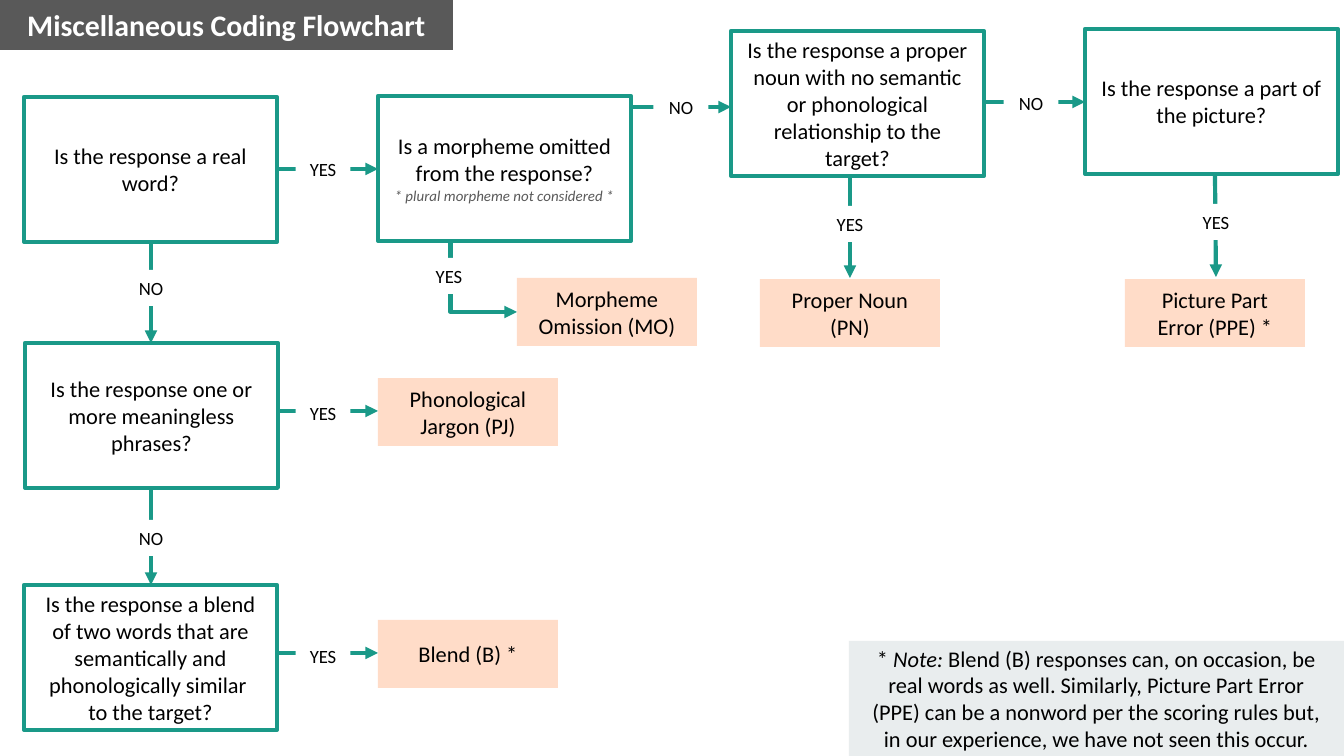
from lxml import etree
from pptx import Presentation
from pptx import util as u
from pptx.dml.color import RGBColor
from pptx.enum import shapes, text
from pptx.oxml.ns import qn

SCALE = 914400 / 134.4  # EMU per px
COLORS = {
    "teal": "1A9988", "peach": "FFDCC8", "mist": "E9EDEE",
    "gray": "595959", "white": "FFFFFF", "black": "000000",
}
QUESTION_SIZE = (253, 145)
OUTCOME_SIZE = (180, 68)
ANSWER_SIZE = (55, 36)

QUESTIONS = [
    (24, 97, "Is the response a real word?"),
    (25, 343, "Is the response one or more meaningless phrases?"),
    (24, 585, "Is the response a blend of two words that are semantically "
              "and phonologically similar \vto the target?"),
    (378, 96, "Is a morpheme omitted from the response?"
              "\n* plural morpheme not considered *"),
    (731, 31, "Is the response a proper noun with no semantic or "
              "phonological relationship to the target?"),
    (1085, 29, "Is the response a part of the picture?"),
]
OUTCOMES = [
    (517, 278, "Morpheme Omission (MO)"),
    (378, 378, "Phonological Jargon (PJ)"),
    (378, 620, "Blend (B) *"),
    (760, 279, "Proper Noun (PN)"),
    (1125, 279, "Picture Part Error (PPE) *"),
]
# start, end, answer, centre of the answer
BRANCHES = [
    ((277, 169), (378, 169), "YES", (323, 169)),
    ((277, 411), (378, 411), "YES", (323, 413)),
    ((277, 653), (378, 653), "YES", (323, 656)),
    ((151, 242), (151, 343), "NO", (151, 288)),
    ((151, 488), (151, 585), "NO", (151, 538)),
    ((631, 107), (731, 107), "NO", (681, 107)),
    ((984, 102), (1085, 102), "NO", (1031, 103)),
    ((850, 177), (850, 278), "YES", (850, 224)),
    ((1215, 176), (1216, 277), "YES", (1216, 222)),
    ((384, 241), (517, 312), "YES", (449, 276)),
]


def px(value):
    return u.Emu(round(value * SCALE))


def rgb(name):
    return RGBColor.from_string(COLORS[name])


class Flowchart:
    font = "Calibri"
    line_width = u.Pt(2.25)

    def __init__(self, page):
        self.page = page

    def style(self, span, size, color="black", bold=False, italic=False):
        span.font.name = self.font
        span.font.size = u.Pt(size)
        span.font.color.rgb = rgb(color)
        span.font.bold = bold
        span.font.italic = italic

    def box(self, place, size, words, points=12, fill=None, color="black", bold=False):
        """Add a borderless rectangle with centred text."""
        box = self.page.shapes.add_shape(
            shapes.MSO_SHAPE.RECTANGLE, *map(px, place + size))
        box.shadow.inherit = False
        box.line.fill.background()
        if fill:
            box.fill.solid()
            box.fill.fore_color.rgb = rgb(fill)
        else:
            box.fill.background()
        frame = box.text_frame
        frame.text = words
        frame.word_wrap = True
        frame.vertical_anchor = text.MSO_ANCHOR.MIDDLE
        for para in frame.paragraphs:
            para.alignment = text.PP_ALIGN.CENTER
            for span in para.runs:
                self.style(span, points, color, bold)
        return box

    def pad(self, box):
        box.text_frame.margin_top = box.text_frame.margin_bottom = u.Inches(0.1)

    def question(self, left, top, words):
        box = self.box((left, top), QUESTION_SIZE, words)
        self.pad(box)
        box.line.color.rgb = rgb("teal")
        box.line.width = self.line_width
        for para in box.text_frame.paragraphs[1:]:
            self.style(para.runs[0], 8, "gray", italic=True)

    def outcome(self, left, top, words):
        self.box((left, top), OUTCOME_SIZE, words, fill="peach")

    def branch(self, start, end, answer, center):
        """Add an arrow, bent if it turns, with its answer on top."""
        turns = all(abs(a - b) > 1 for a, b in zip(start, end))
        kind = shapes.MSO_CONNECTOR.ELBOW if turns else shapes.MSO_CONNECTOR.STRAIGHT
        arrow = self.page.shapes.add_connector(kind, *map(px, start + end))
        arrow.line.color.rgb = rgb("teal")
        arrow.line.width = self.line_width
        etree.SubElement(arrow.line._get_or_add_ln(), qn("a:tailEnd"), type="triangle")
        etree.SubElement(arrow._element.spPr, qn("a:effectLst"))
        place = tuple(c - side / 2 for c, side in zip(center, ANSWER_SIZE))
        label = self.box(place, ANSWER_SIZE, answer, points=10, fill="white")
        label.text_frame.word_wrap = False

    def note(self, place, size, parts):
        box = self.box(place, size, "", fill="mist")
        self.pad(box)
        para = box.text_frame.paragraphs[0]
        for words, italic in parts:
            span = para.add_run()
            span.text = words
            self.style(span, 12, italic=italic)


def main():
    deck = Presentation()
    deck.slide_width, deck.slide_height = px(1344), px(756)
    chart = Flowchart(deck.slides.add_slide(deck.slide_layouts[6]))

    chart.box((0, 0), (453, 50), "Miscellaneous Coding Flowchart",
              points=16, fill="gray", color="white", bold=True)
    for question in QUESTIONS:
        chart.question(*question)
    for branch in BRANCHES:
        chart.branch(*branch)
    for outcome in OUTCOMES:
        chart.outcome(*outcome)
    chart.note((849, 641), (495, 115), [
        ("* ", False),
        ("Note:", True),
        (" Blend (B) responses can, on occasion, be real words as well. "
         "Similarly, Picture Part Error (PPE) can be a nonword per the scoring "
         "rules but, in our experience, we have not seen this occur.", False),
    ])
    deck.save("out.pptx")


if __name__ == "__main__":
    main()
